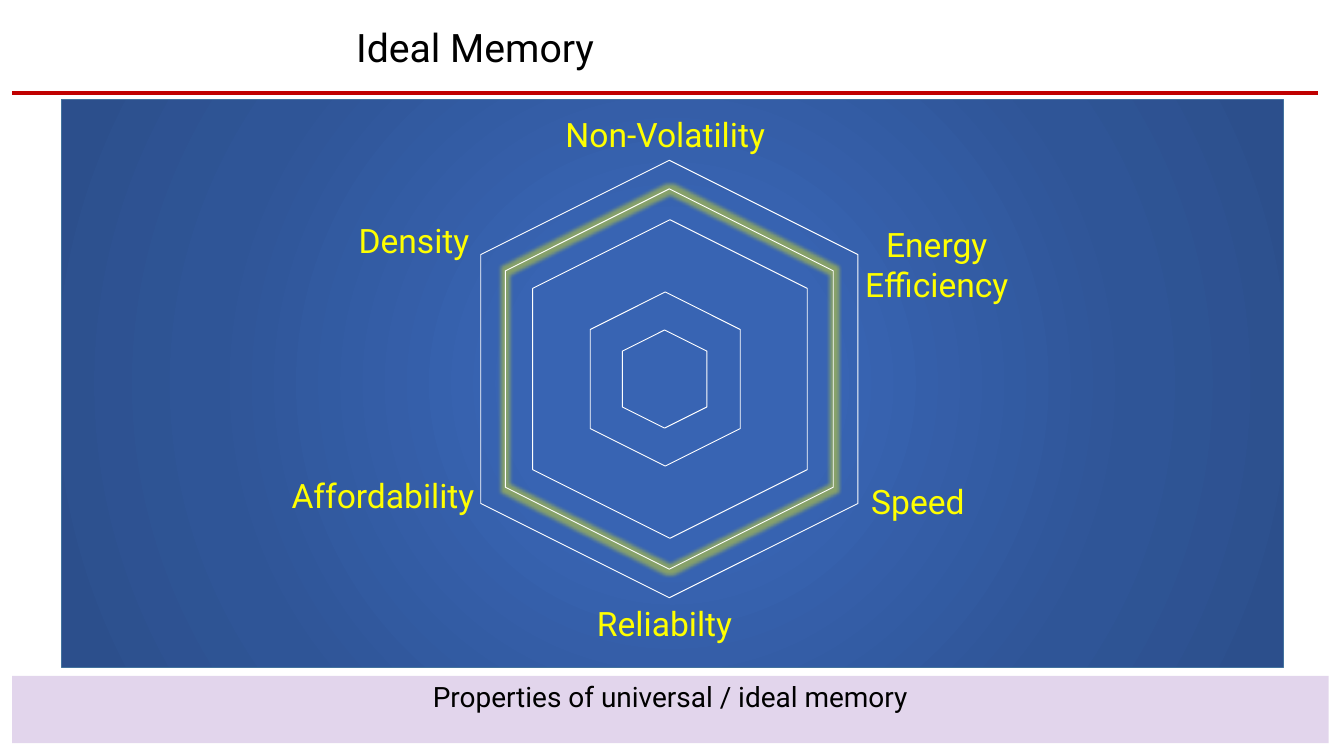
import dataclasses
import typing

import lxml.etree
import pptx
import pptx.dml.color
import pptx.enum.shapes
import pptx.enum.text
import pptx.oxml
import pptx.oxml.ns
import pptx.util

Inches = pptx.util.Inches
SHAPES = pptx.enum.shapes.MSO_SHAPE
ALIGN = pptx.enum.text.PP_ALIGN
AUTO_SIZE = pptx.enum.text.MSO_AUTO_SIZE
ANCHOR = pptx.enum.text.MSO_ANCHOR
qn = pptx.oxml.ns.qn


@dataclasses.dataclass(frozen=True)
class Theme:
    font: str = "Roboto"
    title_size: int = 42
    label_size: int = 36
    caption_size: int = 30
    text: str = "000000"
    label: str = "FFFF00"
    rule: str = "C00000"
    outline: str = "FFFFFF"
    panel_outline: str = "43739E"
    caption_fill: str = "7030A0"
    panel_stops: tuple = ((0, "3864B3"), (23, "3864B3"), (69, "2F5597"), (97, "2C4F8C"))


class Hexagon(typing.NamedTuple):
    center_x: float
    length: float
    glows: bool = False


class Label(typing.NamedTuple):
    text: str
    left: float
    top: float
    height: float = 0.76


THEME = Theme()
HEXAGON_CENTER_Y = 5.64
HEXAGON_RATIO = 1.16
LABEL_WIDTH = 3.34

HEXAGONS = [
    Hexagon(9.96, 5.66, glows=True),
    Hexagon(9.96, 6.51),
    Hexagon(9.97, 4.74),
    Hexagon(9.9, 2.59),
    Hexagon(9.89, 1.46),
]

LABELS = [
    Label("Non-Volatility", 8.23, 1.64),
    Label("Energy Efficiency", 12.27, 3.28, 1.36),
    Label("Speed", 11.99, 7.11),
    Label("Reliabilty", 8.22, 8.93),
    Label("Affordability", 4.03, 7.02),
    Label("Density", 4.49, 3.23),
]


def rgb(color: str) -> pptx.dml.color.RGBColor:
    return pptx.dml.color.RGBColor.from_string(color)


def set_format(target: typing.Any, values: dict) -> None:
    for name, value in values.items():
        setattr(target, name, value)


def set_line(shape: typing.Any, color: str, width: float) -> None:
    shape.line.color.rgb = rgb(color)
    shape.line.width = pptx.util.Pt(width)


def write_text(box: typing.Any, text: str, size: int, color: str,
               para_format: dict, auto_size: AUTO_SIZE = AUTO_SIZE.NONE) -> None:
    frame = box.text_frame
    set_format(frame, {"word_wrap": True, "auto_size": auto_size,
                       "vertical_anchor": ANCHOR.TOP})
    para = frame.paragraphs[0]
    set_format(para, para_format)
    span = para.add_run()
    span.text = text
    set_format(span.font, {"name": THEME.font, "size": pptx.util.Pt(size)})
    span.font.color.rgb = rgb(color)


def add_box(shapes: typing.Any, kind: SHAPES, left: float, top: float,
            width: float, height: float) -> typing.Any:
    box = shapes.add_shape(kind, *map(Inches, (left, top, width, height)))
    box.shadow.inherit = False
    return box


def set_radial_fill(box: typing.Any, stops: tuple) -> None:
    box.fill.background()
    stop_xml = "".join(f'<a:gs pos="{position * 1000}"><a:srgbClr val="{color}"/></a:gs>'
                       for position, color in stops)
    gradient = pptx.oxml.parse_xml(
        f'<a:gradFill {pptx.oxml.ns.nsdecls("a")} rotWithShape="1"><a:gsLst>{stop_xml}</a:gsLst>'
        '<a:path path="circle"><a:fillToRect l="50000" t="50000" r="50000" b="50000"/></a:path>'
        '</a:gradFill>')
    properties = box._element.spPr
    properties.replace(properties.find(qn("a:noFill")), gradient)


def add_alpha(color: typing.Any, percent: int) -> None:
    lxml.etree.SubElement(color, qn("a:alpha"), val=str(percent * 1000))


def add_glow(shape: typing.Any, color: str, radius: float, opacity: int) -> None:
    effects = shape._element.spPr.find(qn("a:effectLst"))
    glow = lxml.etree.SubElement(effects, qn("a:glow"), rad=str(pptx.util.Pt(radius)))
    add_alpha(lxml.etree.SubElement(glow, qn("a:srgbClr"), val=color), opacity)


def add_hexagon(shapes: typing.Any, item: Hexagon) -> None:
    height = item.length / HEXAGON_RATIO
    hexagon = add_box(shapes, SHAPES.HEXAGON, item.center_x - item.length / 2,
                      HEXAGON_CENTER_Y - height / 2, item.length, height)
    hexagon.rotation = 270
    hexagon.fill.background()
    set_line(hexagon, THEME.outline, 1)
    if item.glows:
        add_glow(hexagon, THEME.label, 8, 40)


def add_label(shapes: typing.Any, item: Label) -> None:
    box = shapes.add_textbox(*map(Inches, (item.left, item.top, LABEL_WIDTH, item.height)))
    write_text(box, item.text, THEME.label_size, THEME.label,
               {"alignment": ALIGN.CENTER}, AUTO_SIZE.SHAPE_TO_FIT_TEXT)


def main() -> None:
    deck = pptx.Presentation()
    set_format(deck, {"slide_width": Inches(20), "slide_height": Inches(11.25)})
    page = deck.slides.add_slide(deck.slide_layouts[5])
    shapes = page.shapes

    # Title
    title = shapes.title
    set_format(title, {"left": Inches(5.2), "top": Inches(0.38),
                       "width": Inches(14.42), "height": Inches(1)})
    write_text(title, "Ideal Memory", THEME.title_size, THEME.text,
               {"alignment": ALIGN.LEFT, "line_spacing": 0.9})

    # Blue panel
    panel = add_box(shapes, SHAPES.RECTANGLE, 0.91, 1.48, 18.19, 8.45)
    set_radial_fill(panel, THEME.panel_stops)
    set_line(panel, THEME.panel_outline, 1)

    # Rule under the title
    rule = shapes.add_connector(pptx.enum.shapes.MSO_CONNECTOR.STRAIGHT,
                                *map(Inches, (0.18, 1.38, 19.62, 1.38)))
    set_line(rule, THEME.rule, 4.5)
    lxml.etree.SubElement(rule._element.spPr, qn("a:effectLst"))

    # Caption band
    caption = add_box(shapes, SHAPES.RECTANGLE, 0.18, 10.06, 19.59, 1)
    caption.fill.solid()
    caption.fill.fore_color.rgb = rgb(THEME.caption_fill)
    add_alpha(caption._element.spPr.find(qn("a:solidFill"))[0], 20)
    caption.line.fill.background()
    write_text(caption, "Properties of universal / ideal memory", THEME.caption_size,
               THEME.text, {"alignment": ALIGN.CENTER})

    # Nested hexagons and the property at each corner
    radar = shapes.add_group_shape()
    for hexagon in HEXAGONS:
        add_hexagon(radar.shapes, hexagon)
    for label in LABELS:
        add_label(shapes, label)

    deck.save("out.pptx")


if __name__ == "__main__":
    main()
